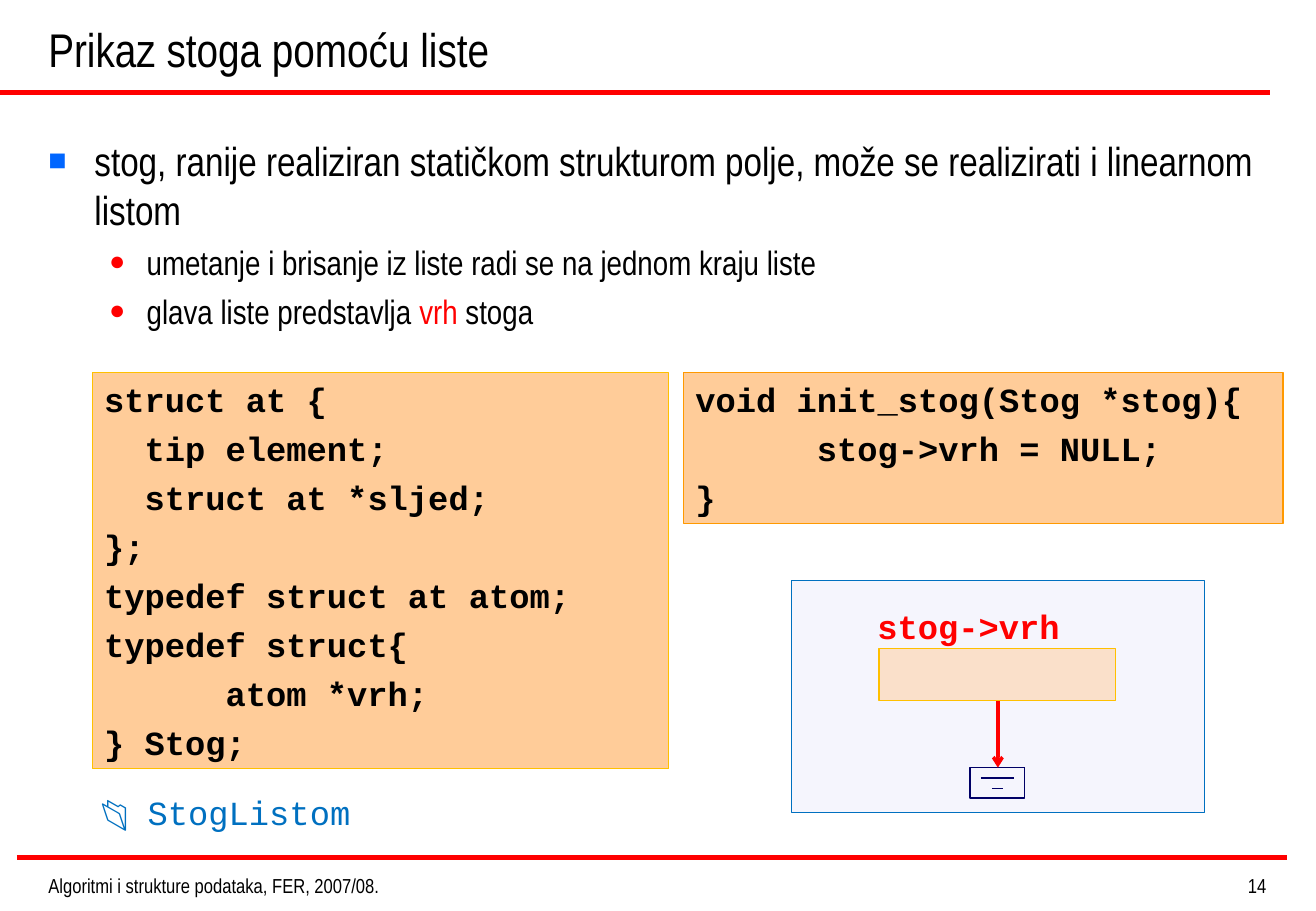
from lxml import etree
from pptx import Presentation
from pptx.dml.color import RGBColor
from pptx.enum.shapes import MSO_CONNECTOR, MSO_SHAPE
from pptx.enum.text import MSO_ANCHOR, PP_ALIGN
from pptx.oxml.ns import qn
from pptx.util import Inches, Pt

RECTANGLE = MSO_SHAPE.RECTANGLE
STRAIGHT = MSO_CONNECTOR.STRAIGHT
TOP, BOTTOM = MSO_ANCHOR.TOP, MSO_ANCHOR.BOTTOM
LEFT, RIGHT = PP_ALIGN.LEFT, PP_ALIGN.RIGHT

BLACK = RGBColor(0x00, 0x00, 0x00)
RED = RGBColor(0xFF, 0x00, 0x00)
BLUE = RGBColor(0x00, 0x70, 0xC0)
BULLET_BLUE = RGBColor(0x00, 0x66, 0xFF)
NAVY = RGBColor(0x00, 0x00, 0x66)
PEACH = RGBColor(0xFF, 0xCC, 0x99)
GOLD = RGBColor(0xFF, 0xC0, 0x00)
ORANGE = RGBColor(0xFF, 0x99, 0x00)
LAVENDER = RGBColor(0xE8, 0xE8, 0xFA)

NARROW, MONO, SANS = "Arial Narrow", "Courier New", "Arial"

STRUCT_CODE = """struct at {
  tip element;
  struct at *sljed;
};
typedef struct at atom;
typedef struct{
\tatom *vrh;
} Stog;"""

INIT_CODE = """void init_stog(Stog *stog){
\tstog->vrh = NULL;
}"""


def add_child(parent, tag, **attributes):
    child = etree.SubElement(parent, qn(tag))
    for key, value in attributes.items():
        child.set(key, str(value))
    return child


def write(paragraph, text, font=NARROW, size=20, color=BLACK, bold=False):
    run = paragraph.add_run()
    run.text = text
    run.font.name = font
    run.font.size = Pt(size)
    run.font.color.rgb = color
    run.font.bold = bold


class StackSlide:
    def __init__(self, presentation):
        self.slide = presentation.slides.add_slide(presentation.slide_layouts[6])
        self.shapes = self.slide.shapes

    def text_box(self, left, top, width, height, anchor=TOP, wrap=True, align=LEFT):
        box = self.shapes.add_textbox(
            Inches(left), Inches(top), Inches(width), Inches(height))
        frame = box.text_frame
        frame.word_wrap = wrap
        frame.vertical_anchor = anchor
        frame.paragraphs[0].alignment = align
        return frame

    def label(self, text, left, top, width, height, anchor=TOP, wrap=True,
              align=LEFT, **style):
        frame = self.text_box(left, top, width, height, anchor, wrap, align)
        write(frame.paragraphs[0], text, **style)
        return frame

    def rectangle(self, left, top, width, height, line, fill=None, opacity=100):
        box = self.shapes.add_shape(
            RECTANGLE, Inches(left), Inches(top), Inches(width), Inches(height))
        box.shadow.inherit = False
        box.line.color.rgb = line
        box.line.width = Pt(0.75)
        if fill is None:
            box.fill.background()
        else:
            box.fill.solid()
            box.fill.fore_color.rgb = fill
            if opacity < 100:
                color = box.fill._xPr.find(qn("a:solidFill"))[0]
                add_child(color, "a:alpha", val=opacity * 1000)
        return box

    def line(self, x1, y1, x2, y2, color, width, arrow=False):
        connector = self.shapes.add_connector(
            STRAIGHT, Inches(x1), Inches(y1), Inches(x2), Inches(y2))
        connector.line.color.rgb = color
        connector.line.width = Pt(width)
        if arrow:
            add_child(connector.line._get_or_add_ln(), "a:tailEnd", type="arrow")
        add_child(connector._element.spPr, "a:effectLst")

    def code(self, source, left, top, width, height, line):
        frame = self.rectangle(left, top, width, height, line, PEACH).text_frame
        frame.word_wrap = True
        frame.vertical_anchor = TOP
        for index, row in enumerate(source.split("\n")):
            paragraph = frame.add_paragraph() if index else frame.paragraphs[0]
            paragraph.alignment = LEFT
            tabs = add_child(paragraph._p.get_or_add_pPr(), "a:tabLst")
            add_child(tabs, "a:tab", pos=Inches(1), algn="l")
            if index:
                paragraph.space_before = Pt(5)
            write(paragraph, row, font=MONO, bold=True)

    def bullet(self, paragraph, level, margin, hanging, char, color, percent):
        paragraph.level = level
        properties = paragraph._p.get_or_add_pPr()
        properties.set("marL", str(Inches(margin)))
        properties.set("indent", str(-Inches(hanging)))
        add_child(add_child(properties, "a:buClr"), "a:srgbClr", val=color)
        add_child(properties, "a:buSzPct", val=percent * 1000)
        add_child(properties, "a:buFont", typeface=SANS)
        add_child(properties, "a:buChar", char=char)

    def points(self, main_point, details):
        frame = self.text_box(0.3, 1.07, 10.24, 5.83)
        first = frame.paragraphs[0]
        self.bullet(first, 0, 0.38, 0.38, "■", BULLET_BLUE, 75)
        write(first, main_point, size=24)
        for pieces in details:
            paragraph = frame.add_paragraph()
            self.bullet(paragraph, 1, 0.81, 0.31, "●", RED, 80)
            paragraph.space_before = Pt(5)
            for text, color in pieces:
                write(paragraph, text, color=color)

    def null_pointer(self, left, top, width):
        for step in range(3):
            inset, y = 0.09 * step, top + 0.085 * step
            self.line(left + inset, y, left + width - inset, y, NAVY, 0.75)
        self.rectangle(left, top, width, 0.25, NAVY)


def main():
    presentation = Presentation()
    presentation.slide_width = Inches(10.84)
    presentation.slide_height = Inches(7.5)
    page = StackSlide(presentation)

    page.line(0, 0.76, 10.46, 0.76, RED, 3)
    page.line(0.14, 7.06, 10.6, 7.06, RED, 3)
    page.label("Prikaz stoga pomoću liste", 0.3, 0, 10.16, 0.68,
               anchor=BOTTOM, size=28)
    page.points(
        "stog, ranije realiziran statičkom strukturom polje, "
        "može se realizirati i linearnom listom",
        [
            [("umetanje i brisanje iz liste radi se na jednom kraju liste", BLACK)],
            [("glava liste predstavlja ", BLACK), ("vrh", RED), (" stoga", BLACK)],
        ])

    program = page.label("📂", 0.73, 6.47, 3.15, 0.44, font=SANS, color=BLUE)
    write(program.paragraphs[0], " StogListom", font=MONO, color=BLUE)

    page.code(STRUCT_CODE, 0.76, 3.07, 4.75, 3.26, GOLD)
    page.code(INIT_CODE, 5.63, 3.07, 4.94, 1.24, ORANGE)

    page.rectangle(6.52, 4.78, 3.4, 1.91, BLUE, LAVENDER, 40)
    page.rectangle(7.24, 5.34, 1.95, 0.43, GOLD, PEACH, 50)
    page.label("stog->vrh", 7.13, 4.94, 1.7, 0.4, wrap=False,
               font=MONO, color=RED, bold=True)
    page.null_pointer(7.99, 6.32, 0.45)
    page.line(8.22, 5.77, 8.22, 6.32, RED, 2, arrow=True)

    page.label("Algoritmi i strukture podataka, FER, 2007/08.",
               0.3, 7.14, 3.78, 0.24, size=12)
    page.label("14", 7.76, 7.14, 2.77, 0.24, align=RIGHT, size=12)

    presentation.save("out.pptx")


if __name__ == "__main__":
    main()
